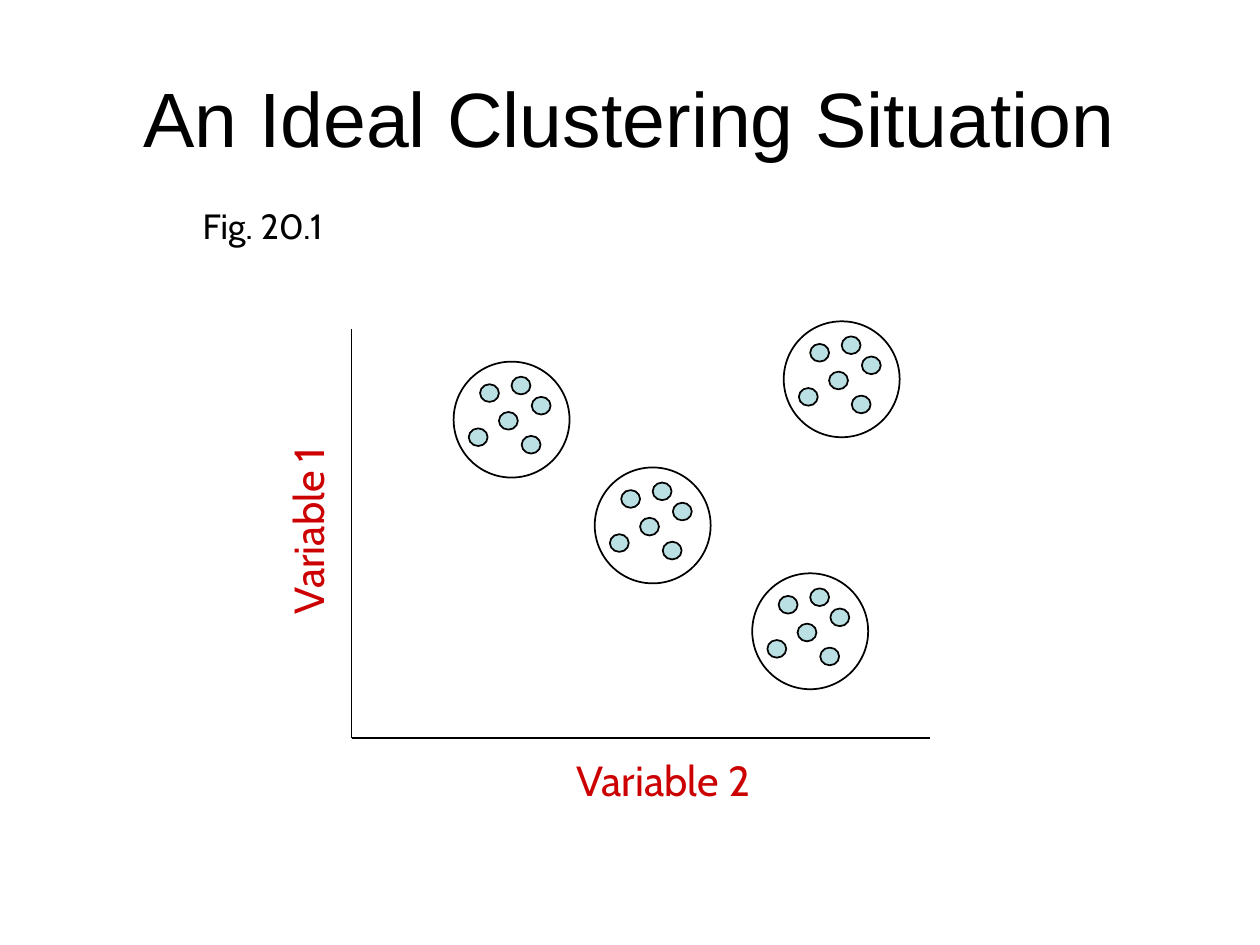
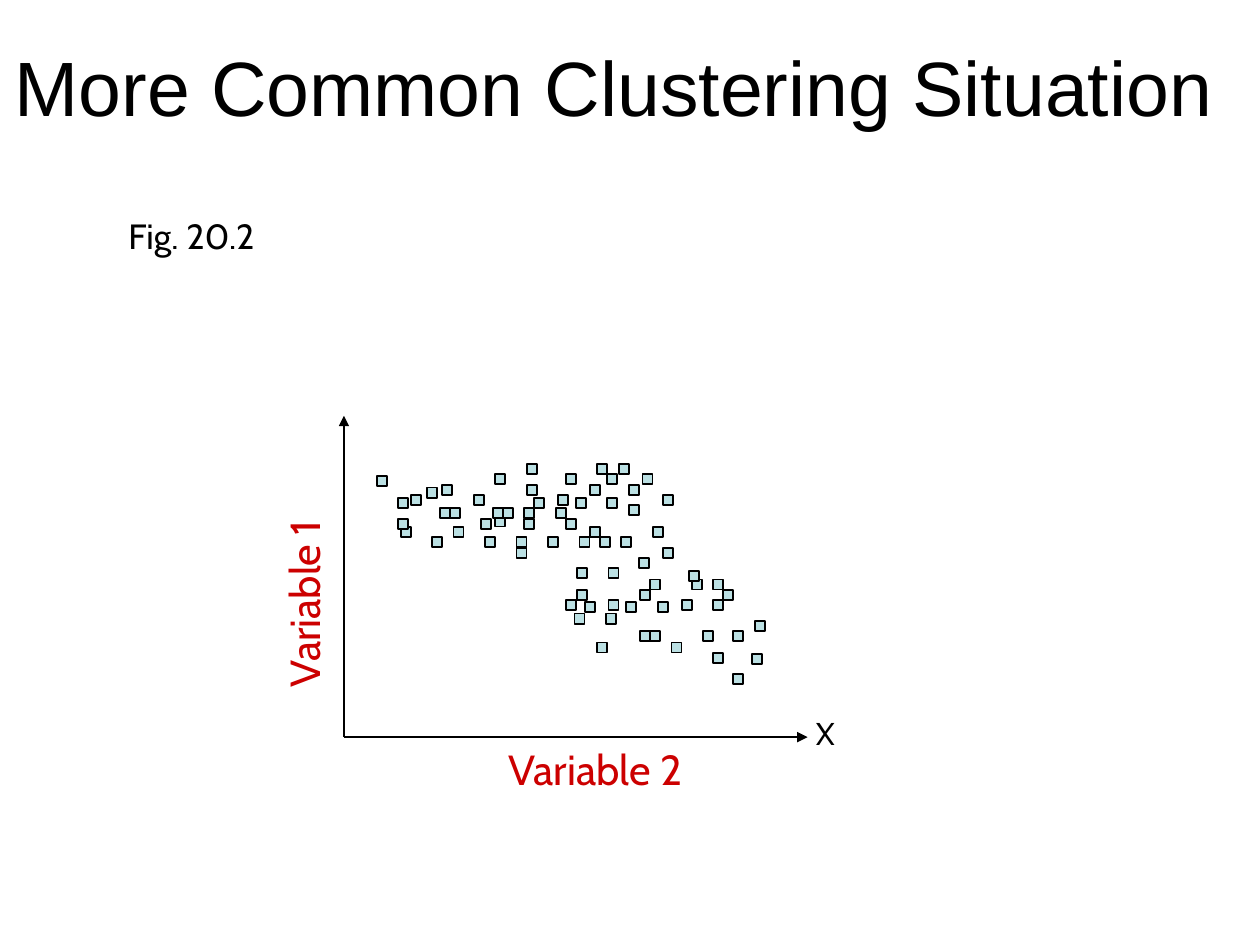
from lxml.etree import SubElement
from pptx import Presentation
from pptx.dml.color import RGBColor
from pptx.enum.shapes import MSO_CONNECTOR, MSO_SHAPE
from pptx.enum.text import MSO_ANCHOR, MSO_AUTO_SIZE, PP_ALIGN
from pptx.oxml.ns import qn
from pptx.util import Pt

PX = 9144  # EMU per px, 100 px to the inch

BLACK = RGBColor(0x00, 0x00, 0x00)
LABEL_RED = RGBColor(0xCC, 0x00, 0x00)
DOT_BLUE = RGBColor(0xBB, 0xE0, 0xE3)

TITLE_FONT = "Arial"
LABEL_FONT = "Cabin"
TITLE_ONLY_LAYOUT = 5
LABEL_SIZE = (447, 50)

CLUSTER_SIZE = 92
CLUSTER_DOT_SIZE = (15, 14)
CLUSTER_DOTS = [(46, 12), (62, 28), (12, 53), (54, 59), (36, 40), (21, 18)]
# Cluster corners, from the plot's top left
CLUSTERS = [(81, 26), (193, 110), (318, 194), (343, -6)]

SCATTER_DOT_SIZE = (8, 8)
# Height below the plot's top: distances from its left side
SCATTER_ROWS = {
    38: [145, 201, 218],
    46: [120, 176, 209, 237],
    48: [26],
    55: [78, 145, 195, 226],
    57: [66],
    63: [53, 103, 170, 253],
    65: [43, 151, 184, 209],
    71: [226],
    73: [76, 84, 118, 126, 143, 168],
    80: [120],
    82: [43, 109, 143, 176],
    88: [45, 87, 195, 245],
    96: [70, 112, 137, 162, 187, 203, 220],
    105: [137, 253],
    113: [234],
    121: [185, 210],
    123: [274],
    130: [243, 276, 293],
    138: [185, 235, 301],
    146: [176, 210, 268, 293],
    148: [191, 224, 249],
    157: [183, 208],
    163: [326],
    171: [235, 243, 285, 309],
    180: [201, 260],
    188: [293],
    189: [324],
    205: [309],
}


def emu(*lengths):
    return [length * PX for length in lengths]


def write_text(shape, text, size, font=LABEL_FONT, color=BLACK,
               align=PP_ALIGN.CENTER, anchor=MSO_ANCHOR.TOP):
    frame = shape.text_frame
    frame.word_wrap = True
    frame.auto_size = MSO_AUTO_SIZE.NONE
    frame.vertical_anchor = anchor
    paragraph = frame.paragraphs[0]
    paragraph.alignment = align
    run = paragraph.add_run()
    run.text = text
    run.font.size = Pt(size)
    run.font.name = font
    run.font.color.rgb = color


def add_text(slide, box, text, size, **text_format):
    shape = slide.shapes.add_textbox(*emu(*box))
    write_text(shape, text, size, **text_format)
    return shape


def add_outlined(slide, kind, box, fill=None):
    shape = slide.shapes.add_shape(kind, *emu(*box))
    shape.shadow.inherit = False
    if fill is None:
        shape.fill.background()
    else:
        shape.fill.solid()
        shape.fill.fore_color.rgb = fill
    shape.line.color.rgb = BLACK
    shape.line.width = Pt(1)


def add_axis(slide, start, end, arrow):
    axis = slide.shapes.add_connector(MSO_CONNECTOR.STRAIGHT, *emu(*start, *end))
    axis.line.color.rgb = BLACK
    axis.line.width = Pt(1)
    properties = axis._element.spPr
    if arrow:
        SubElement(properties.find(qn("a:ln")), qn("a:tailEnd"), type="triangle")
    SubElement(properties, qn("a:effectLst"))


def add_axis_label(slide, text, center, rotation=0):
    width, height = LABEL_SIZE
    box = (center[0] - width // 2, center[1] - height // 2, width, height)
    label = add_text(slide, box, text, 24, color=LABEL_RED)
    label.rotation = rotation


def add_plot_axes(slide, plot, x_label_offset, y_label_offset, arrows=False):
    """Draw both axes; label offsets run from the plot's lower left corner."""
    left, top, width, height = plot
    bottom = top + height
    add_axis(slide, (left, bottom), (left, top), arrows)
    add_axis(slide, (left, bottom), (left + width, bottom), arrows)
    for text, (x, y), rotation in [("Variable 1", y_label_offset, 270),
                                   ("Variable 2", x_label_offset, 0)]:
        add_axis_label(slide, text, (left + x, bottom + y), rotation)


def add_cluster(slide, left, top):
    add_outlined(slide, MSO_SHAPE.OVAL, (left, top, CLUSTER_SIZE, CLUSTER_SIZE))
    for x, y in CLUSTER_DOTS:
        add_outlined(slide, MSO_SHAPE.OVAL,
                     (left + x, top + y, *CLUSTER_DOT_SIZE), DOT_BLUE)


def add_scatter(slide, left, top):
    """Place rows from the bottom up, so that higher dots overlap lower ones."""
    for y, row in reversed(SCATTER_ROWS.items()):
        for x in row:
            add_outlined(slide, MSO_SHAPE.RECTANGLE,
                         (left + x, top + y, *SCATTER_DOT_SIZE), DOT_BLUE)


def add_figure_slide(presentation, title, title_box, figure, figure_corner):
    layout = presentation.slide_layouts[TITLE_ONLY_LAYOUT]
    slide = presentation.slides.add_slide(layout)
    heading = slide.shapes.title
    heading.left, heading.top, heading.width, heading.height = emu(*title_box)
    write_text(heading, title, 44, font=TITLE_FONT, anchor=MSO_ANCHOR.MIDDLE)
    add_text(slide, (*figure_corner, 149, 43), figure, 20, align=PP_ALIGN.LEFT)
    return slide


def build_ideal_slide(presentation, plot):
    slide = add_figure_slide(presentation, "An Ideal Clustering Situation",
                             (50, 30, 900, 125), "Fig. 20.1", (151, 157))
    left, top = plot[:2]
    add_plot_axes(slide, plot, (247, 33), (-35, -165))
    for x, y in CLUSTERS:
        add_cluster(slide, left + x, top + y)


def build_common_slide(presentation, plot):
    slide = add_figure_slide(presentation, "More Common Clustering Situation",
                             (0, 25, 975, 86), "Fig. 20.2", (92, 165))
    left, top, width, height = plot
    add_plot_axes(slide, plot, (199, 25), (-32, -106), arrows=True)
    add_text(slide, (left + width - 10, top + height - 23, 48, 40), "X", 18)
    add_scatter(slide, left, top)


def main():
    presentation = Presentation()
    presentation.slide_width, presentation.slide_height = emu(1000, 750)
    build_ideal_slide(presentation, (279, 261, 459, 325))
    build_common_slide(presentation, (273, 330, 368, 255))
    presentation.save("out.pptx")


if __name__ == "__main__":
    main()
